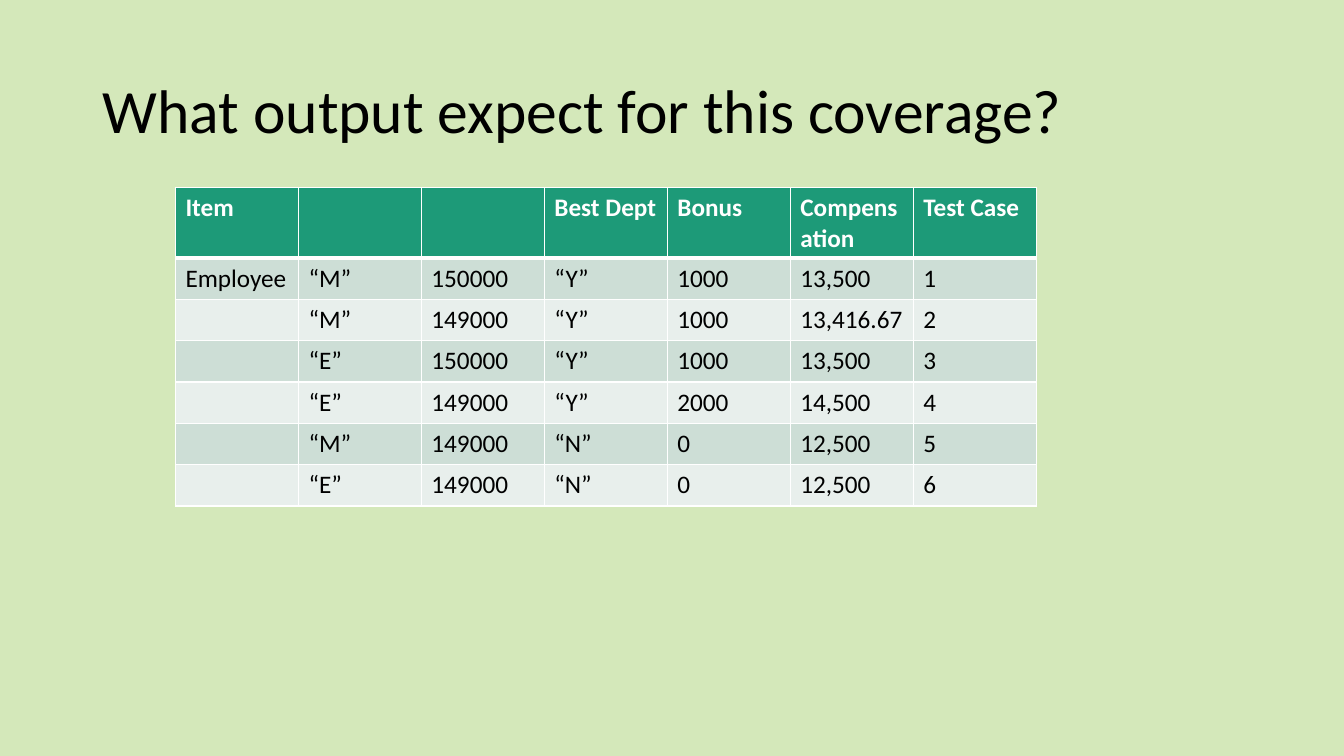
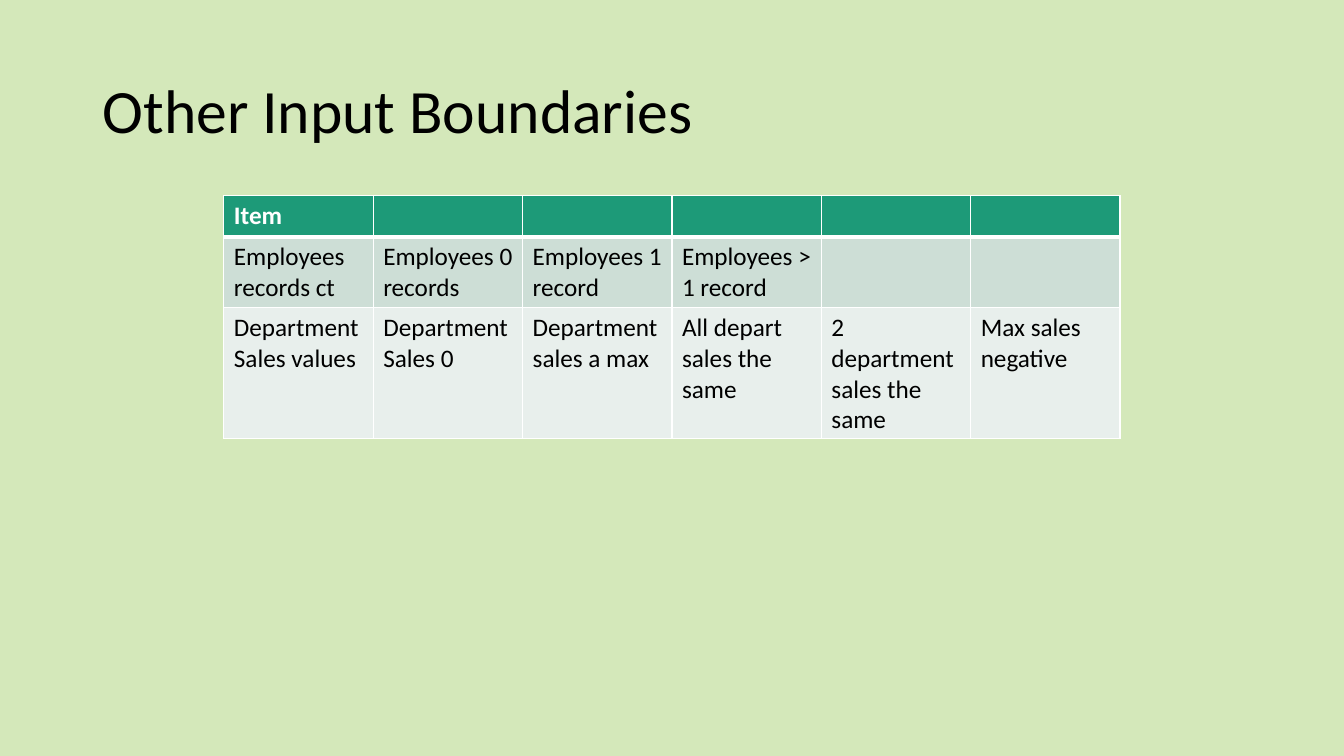
from lxml.etree import SubElement
from pptx import Presentation
from pptx.dml.color import RGBColor
from pptx.enum.text import MSO_ANCHOR
from pptx.oxml.ns import qn
from pptx.util import Inches, Pt

BACKGROUND = RGBColor(0xD4, 0xE8, 0xBA)
HEADER = RGBColor(0x1D, 0x9A, 0x78)
BANDS = (RGBColor(0xCD, 0xDE, 0xD6), RGBColor(0xE8, 0xEF, 0xEC))
BLACK = RGBColor(0, 0, 0)
WHITE = RGBColor(0xFF, 0xFF, 0xFF)
FONT = "Calibri"
TITLE_BOX = (0.92, 0.4, 11.5, 1.45)
ROW_HEIGHT = 0.41
BORDER, HEADER_RULE = 1, 3

COVERAGE = [
    ("Item", "", "", "Best Dept", "Bonus", "Compensation", "Test Case"),
    ("Employee", "“M”", "150000", "“Y”", "1000", "13,500", "1"),
    ("", "“M”", "149000", "“Y”", "1000", "13,416.67", "2"),
    ("", "“E”", "150000", "“Y”", "1000", "13,500", "3"),
    ("", "“E”", "149000", "“Y”", "2000", "14,500", "4"),
    ("", "“M”", "149000", "“N”", "0", "12,500", "5"),
    ("", "“E”", "149000", "“N”", "0", "12,500", "6"),
]
BOUNDARIES = [
    ("Item", "", "", "", "", ""),
    ("Employees records ct", "Employees 0 records", "Employees 1 record",
     "Employees > 1 record", "", ""),
    ("Department Sales values", "Department Sales 0", "Department sales a max",
     "All depart sales the same", "2 department sales the same",
     "Max sales negative"),
]


def add_run(p, text, size, color, bold=False):
    r = p.add_run()
    r.text = text
    r.font.name = FONT
    r.font.size = Pt(size)
    r.font.bold = bold
    r.font.color.rgb = color


def add_title(s, text, box):
    sp = s.shapes.add_textbox(*map(Inches, box))
    tf = sp.text_frame
    tf.word_wrap = True
    tf.vertical_anchor = MSO_ANCHOR.MIDDLE
    p = tf.paragraphs[0]
    p.line_spacing = 0.9
    add_run(p, text, 44, BLACK)


def set_borders(cell, top, bottom):
    """Draw white cell borders; top and bottom are widths in points."""
    tc_pr = cell._tc.get_or_add_tcPr()
    widths = {"a:lnL": BORDER, "a:lnR": BORDER, "a:lnT": top, "a:lnB": bottom}
    for tag, width in widths.items():
        ln = SubElement(tc_pr, qn(tag), w=str(Pt(width)))
        fill = SubElement(ln, qn("a:solidFill"))
        SubElement(fill, qn("a:srgbClr"), val=str(WHITE))


def add_grid(s, rows, left, top, width):
    """Add a table with a header row, banded rows and equal columns."""
    n_cols = len(rows[0])
    table = s.shapes.add_table(
        len(rows), n_cols, Inches(left), Inches(top),
        Inches(width), Inches(ROW_HEIGHT * len(rows))).table
    for col in table.columns:
        col.width = Inches(width / n_cols)
    for i, texts in enumerate(rows):
        table.rows[i].height = Inches(ROW_HEIGHT)
        is_header = i == 0
        for j, text in enumerate(texts):
            cell = table.cell(i, j)
            set_borders(cell, HEADER_RULE if i == 1 else BORDER,
                        HEADER_RULE if is_header else BORDER)
            cell.fill.solid()
            cell.fill.fore_color.rgb = HEADER if is_header else BANDS[(i - 1) % 2]
            if text:
                add_run(cell.text_frame.paragraphs[0], text, 18,
                        WHITE if is_header else BLACK, is_header)


def add_table_slide(prs, title, rows, left, top, width):
    s = prs.slides.add_slide(prs.slide_layouts[6])
    add_title(s, title, TITLE_BOX)
    add_grid(s, rows, left, top, width)


def main():
    prs = Presentation()
    prs.slide_width, prs.slide_height = Inches(13.33), Inches(7.5)
    fill = prs.slide_master.background.fill
    fill.solid()
    fill.fore_color.rgb = BACKGROUND
    add_table_slide(prs, "What output expect for this coverage?", COVERAGE,
                    1.74, 1.86, 8.54)
    add_table_slide(prs, "Other Input Boundaries", BOUNDARIES,
                    2.22, 1.94, 8.89)
    prs.save("out.pptx")


if __name__ == "__main__":
    main()
